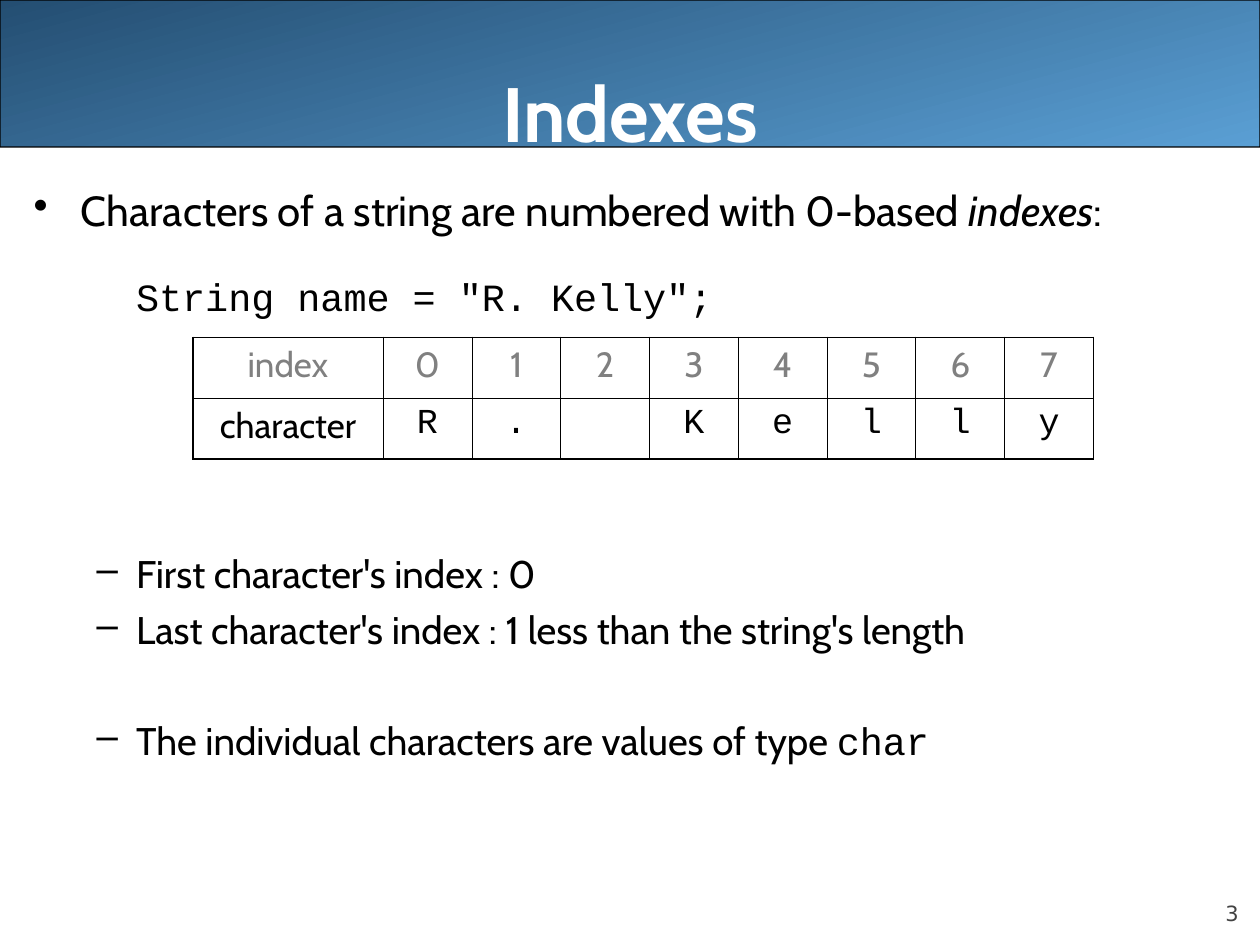
from lxml import etree
from pptx import Presentation
from pptx.dml.color import RGBColor
from pptx.enum.shapes import MSO_SHAPE
from pptx.enum.text import MSO_ANCHOR, PP_ALIGN
from pptx.oxml.ns import qn
from pptx.util import Pt

BANNER = MSO_SHAPE.ROUNDED_RECTANGLE
TOP, BOTTOM = MSO_ANCHOR.TOP, MSO_ANCHOR.BOTTOM
LEFT, CENTER, RIGHT = PP_ALIGN.LEFT, PP_ALIGN.CENTER, PP_ALIGN.RIGHT

COLORS = {"black": "000000", "white": "FFFFFF", "gray": "808080",
          "number": "424242", "dark": "244E72", "light": "5A9FD4"}
SANS, MONO, NUMBER = "Cabin", "Courier New", "DejaVu Sans"
OUTER, INNER = 1.08, 0.45


def rgb(name):
    return RGBColor.from_string(COLORS[name])


class Deck:
    """Holds the text style and the slide being built."""

    base = {"name": SANS, "size": 22, "bold": False, "italic": False, "color": "black"}

    def __init__(self, width, height):
        self.prs = Presentation()
        self.prs.slide_width, self.prs.slide_height = Pt(width), Pt(height)
        self.s = self.prs.slides.add_slide(self.prs.slide_layouts[6])

    def run(self, p, text, **fmt):
        r = p.add_run()
        r.text = text
        fmt = {**self.base, **fmt}
        r.font.color.rgb = rgb(fmt.pop("color"))
        fmt["size"] = Pt(fmt["size"])
        for key, value in fmt.items():
            setattr(r.font, key, value)

    def banner(self, *box):
        sp = self.s.shapes.add_shape(BANNER, *map(Pt, box))
        sp.adjustments[0] = 0.001
        sp.shadow.inherit = False
        sp.fill.gradient()
        sp.fill.gradient_angle = 285
        for stop, color, pos in zip(sp.fill.gradient_stops, ("dark", "light"), (0, 1)):
            stop.color.rgb, stop.position = rgb(color), pos
        sp.line.color.rgb, sp.line.width = rgb("black"), Pt(0.75)

    def text_box(self, box, paragraphs, anchor=TOP, align=LEFT, insets=(7.2, 3.6, 7.2, 3.6)):
        """Each paragraph is (space before, left margin, hang, bullet, runs)."""
        tf = self.s.shapes.add_textbox(*map(Pt, box)).text_frame
        tf.word_wrap, tf.vertical_anchor = True, anchor
        for side, inset in zip(("left", "top", "right", "bottom"), insets):
            setattr(tf, f"margin_{side}", Pt(inset))
        for i, (before, margin, hang, bullet, runs) in enumerate(paragraphs):
            p = tf.add_paragraph() if i else tf.paragraphs[0]
            p.alignment, p.space_before = align, Pt(before)
            if bullet:
                self.bullet(p, bullet)
            pPr = p._p.get_or_add_pPr()
            pPr.set("marL", str(Pt(margin)))
            pPr.set("indent", str(-Pt(hang)))
            for text, fmt in runs:
                self.run(p, text, **fmt)

    def bullet(self, p, char):
        pPr = p._p.get_or_add_pPr()
        color = etree.SubElement(pPr, qn("a:buClr"))
        etree.SubElement(color, qn("a:srgbClr"), val=COLORS["black"])
        etree.SubElement(pPr, qn("a:buChar"), char=char)

    def borders(self, cell, widths):
        """Widths are for the left, right, top and bottom edges."""
        tcPr = cell._tc.get_or_add_tcPr()
        for side, width in zip("LRTB", widths):
            ln = etree.SubElement(tcPr, qn(f"a:ln{side}"), w=str(Pt(width)))
            fill = etree.SubElement(ln, qn("a:solidFill"))
            etree.SubElement(fill, qn("a:srgbClr"), val=COLORS["black"])

    def table(self, left, top, widths, row_height, rows):
        """Each row is (label, values, label format, value format)."""
        n_rows, n_cols = len(rows), len(widths)
        size = (sum(widths), row_height * n_rows)
        table = self.s.shapes.add_table(n_rows, n_cols, *map(Pt, (left, top, *size))).table
        for column, width in zip(table.columns, widths):
            column.width = Pt(width)
        for i, (label, values, label_fmt, value_fmt) in enumerate(rows):
            table.rows[i].height = Pt(row_height)
            for j, text in enumerate([label, *values]):
                cell = table.cell(i, j)
                edges = (j == 0, j == n_cols - 1, i == 0, i == n_rows - 1)
                self.borders(cell, [OUTER if edge else INNER for edge in edges])
                cell.fill.background()
                p = cell.text_frame.paragraphs[0]
                p.alignment = CENTER
                if text.strip():
                    self.run(p, text, size=20, **(value_fmt if j else label_fmt))


def main():
    d = Deck(720, 540)
    mono, gray, lead = {"name": MONO}, {"color": "gray"}, {"size": 24}

    d.banner(0, 0, 720, 84)
    d.text_box((648, 500.4, 59.8, 28.8),
               [(0, 0, 0, None, [("3", {"name": NUMBER, "size": 12, "color": "number"})])],
               BOTTOM, RIGHT, (0, 0, 0, 0))
    d.text_box((36, 0, 648, 90),
               [(0, 0, 0, None, [("Indexes", {"size": 44, "bold": True, "color": "white"})])],
               BOTTOM, CENTER, (0, 3.6, 0, 0))

    name = "R. Kelly"
    d.text_box((12.2, 102.2, 707.8, 408.2), [
        (0, 27, 27, "•", [("Characters of a string are numbered with 0-based ", lead),
                          ("indexes", {**lead, "italic": True}), (":", lead)]),
        (21.5, 58.5, 0, None, [(f'String name = "{name}";', mono)]),
        (132, 58.5, 22.5, "–", [("First character's index : 0", {})]),
        (5.5, 58.5, 22.5, "–",
         [("Last character's index : 1 less than the string's length", {})]),
        (37, 58.5, 22.5, "–",
         [("The individual characters are values of type ", {}), ("char", mono)]),
    ])
    d.table(110.2, 192.8, [108.7] + [50.75] * len(name), 34.8, [
        ("index", [str(i) for i in range(len(name))], gray, gray),
        ("character", name, {}, mono),
    ])
    d.prs.save("out.pptx")


if __name__ == "__main__":
    main()
